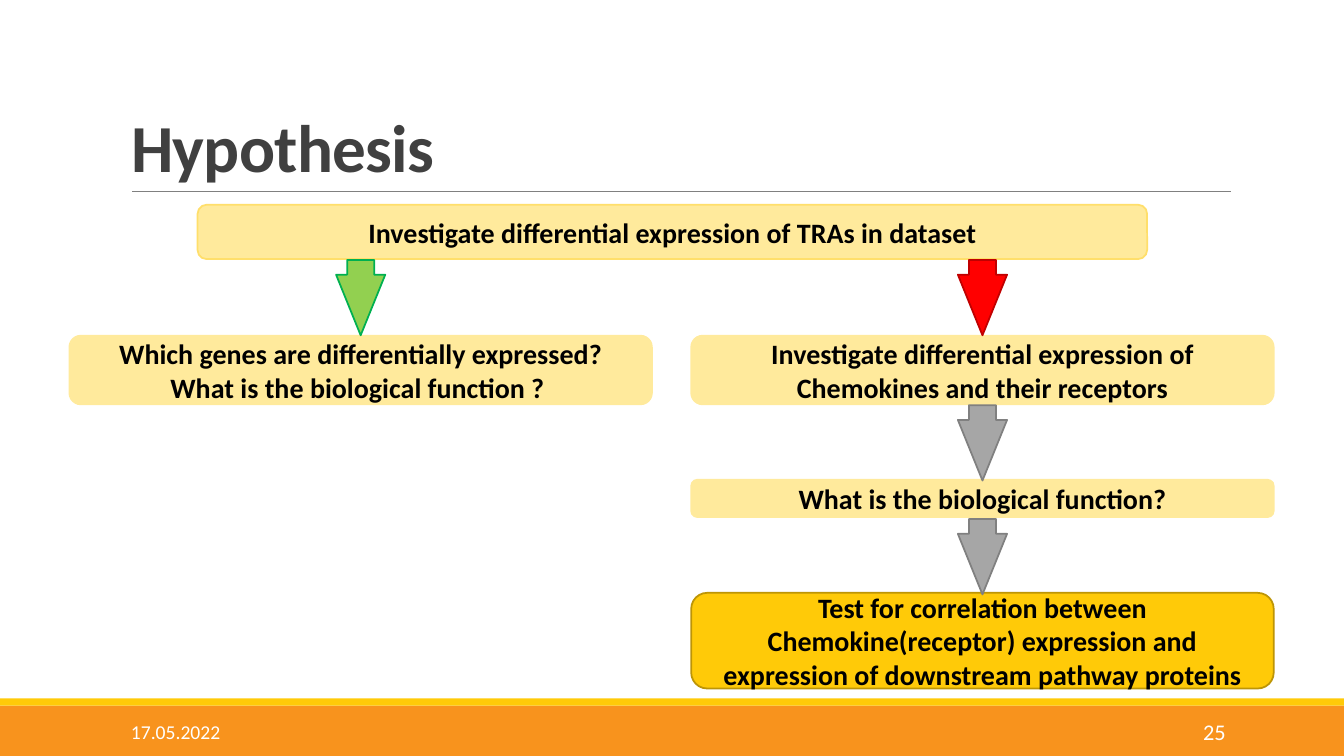
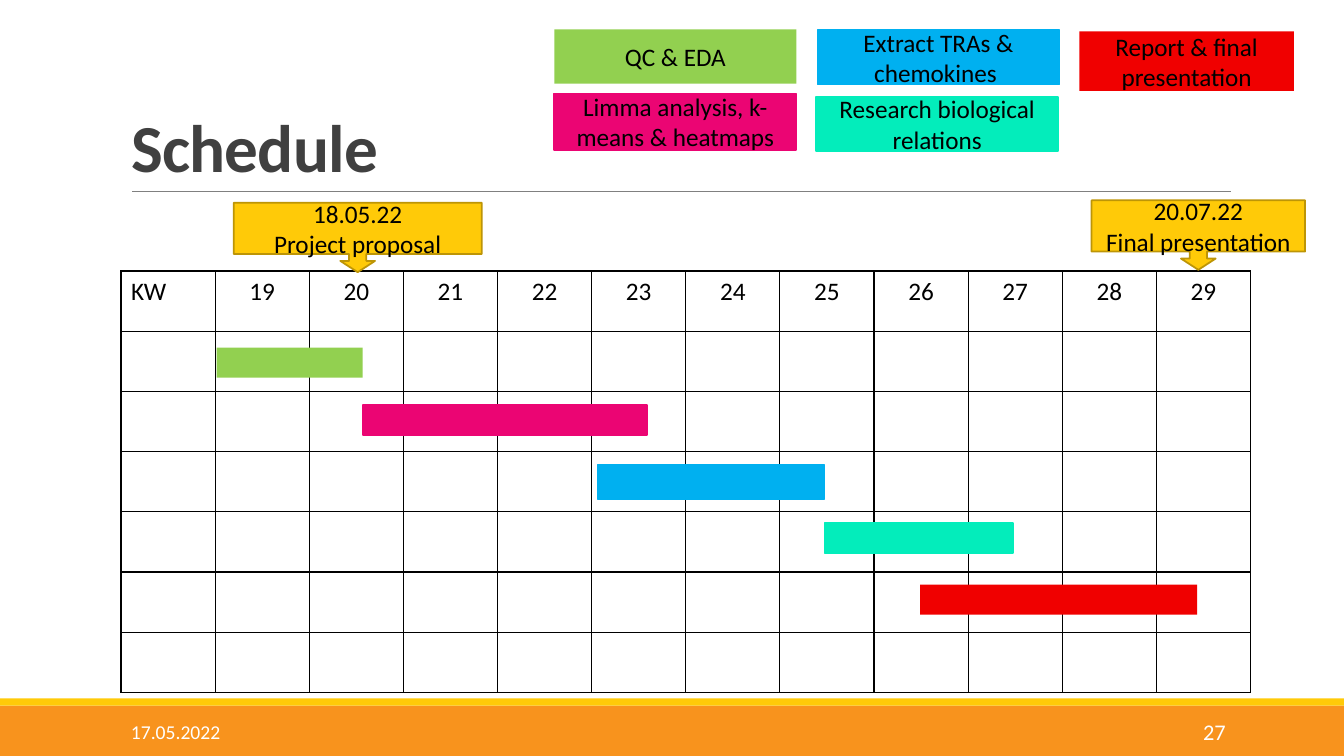
from lxml.etree import SubElement
from pptx import Presentation
from pptx.dml.color import RGBColor
from pptx.enum.shapes import MSO_CONNECTOR, MSO_SHAPE as Shape
from pptx.enum.text import MSO_ANCHOR as Anchor, MSO_AUTO_SIZE, PP_ALIGN as Align
from pptx.oxml.ns import qn
from pptx.util import Cm, Pt

BLACK = RGBColor(0x00, 0x00, 0x00)
WHITE = RGBColor(0xFF, 0xFF, 0xFF)
TITLE_GRAY = RGBColor(0x40, 0x40, 0x40)
GRAY = RGBColor(0x80, 0x80, 0x80)
LIGHT_GRAY = RGBColor(0xA6, 0xA6, 0xA6)
ORANGE = RGBColor(0xF8, 0x93, 0x1D)
GOLD = RGBColor(0xFF, 0xCA, 0x08)
DARK_GOLD = RGBColor(0xBD, 0x95, 0x06)
CREAM = RGBColor(0xFF, 0xEA, 0x9C)
CREAM_EDGE = RGBColor(0xFF, 0xDF, 0x6B)
LIME = RGBColor(0x92, 0xD0, 0x50)
GREEN = RGBColor(0x00, 0xB0, 0x50)
RED = RGBColor(0xFF, 0x00, 0x00)
DARK_RED = RGBColor(0xC0, 0x00, 0x00)
BLUE = RGBColor(0x00, 0xB0, 0xF0)
PINK = RGBColor(0xEB, 0x05, 0x73)
MINT = RGBColor(0x03, 0xED, 0xBB)
SCARLET = RGBColor(0xF0, 0x00, 0x00)

DATE = "17.05.2022"


def cms(*lengths):
    return [Cm(length) for length in lengths]


def write(tf, text, size=18, color=BLACK, bold=False, align=Align.CENTER,
          anchor=Anchor.MIDDLE, line_spacing=None, tracking=None):
    tf.word_wrap = True
    tf.auto_size = MSO_AUTO_SIZE.NONE
    tf.vertical_anchor = anchor
    for i, line in enumerate(text.split("\n")):
        p = tf.add_paragraph() if i else tf.paragraphs[0]
        p.alignment = align
        p.line_spacing = line_spacing
        r = p.add_run()
        r.text = line
        r.font.name = "Calibri"
        r.font.size = Pt(size)
        r.font.bold = bold
        r.font.color.rgb = color
        if tracking is not None:
            r.font._element.set("spc", str(int(tracking * 100)))


def border(cell, color, width):
    tcPr = cell._tc.get_or_add_tcPr()
    for i, side in enumerate(("lnL", "lnR", "lnT", "lnB")):
        ln = SubElement(tcPr, qn("a:" + side), w=str(Pt(width)))
        fill = SubElement(ln, qn("a:solidFill"))
        SubElement(fill, qn("a:srgbClr"), val=str(color))
        tcPr.remove(ln)
        tcPr.insert(i, ln)


class Deck:
    def __init__(self):
        self.prs = Presentation()
        self.prs.slide_width, self.prs.slide_height = cms(33.87, 19.05)

    def new_slide(self, title, number):
        self.s = self.prs.slides.add_slide(self.prs.slide_layouts[5])
        self.shape(Shape.RECTANGLE, (0, 17.78, 33.87, 1.27), ORANGE)
        self.shape(Shape.RECTANGLE, (0, 17.6, 33.87, 0.18), GOLD)
        self.rule((3.33, 4.83, 31.01, 4.83))
        sp = self.s.shapes.title
        sp.left, sp.top, sp.width, sp.height = cms(3.05, 0.79, 27.94, 4.04)
        write(sp.text_frame, title, size=48, color=TITLE_GRAY, bold=True,
              align=Align.LEFT, anchor=Anchor.BOTTOM, line_spacing=0.85,
              tracking=-0.5)
        self.label(DATE, (3.05, 17.93, 6.86, 1.02), size=14, align=Align.LEFT)
        self.label(number, (27.51, 17.93, 3.63, 1.02), size=16, align=Align.RIGHT)

    def label(self, text, box, **style):
        sp = self.s.shapes.add_textbox(*cms(*box))
        write(sp.text_frame, text, color=WHITE, **style)

    def rule(self, ends):
        sp = self.s.shapes.add_connector(MSO_CONNECTOR.STRAIGHT, *cms(*ends))
        sp.line.color.rgb = GRAY
        sp.line.width = Pt(0.5)
        SubElement(sp._element.spPr, qn("a:effectLst"))

    def shape(self, kind, box, fill, line=None, text=None, adjust=(), **style):
        sp = self.s.shapes.add_shape(kind, *cms(*box))
        sp.shadow.inherit = False
        for i, value in enumerate(adjust):
            sp.adjustments[i] = value
        sp.fill.solid()
        sp.fill.fore_color.rgb = fill
        if line is None:
            sp.line.fill.background()
        else:
            sp.line.color.rgb = line
            sp.line.width = Pt(1.25)
        if text:
            write(sp.text_frame, text, **style)

    def step(self, text, box, fill=CREAM, line=CREAM):
        self.shape(Shape.ROUNDED_RECTANGLE, box, fill, line, text, size=20, bold=True)

    def arrow(self, center, top, fill, line):
        width = 1.24
        self.shape(Shape.DOWN_ARROW, (center - width / 2, top, width, 1.9),
                   fill, line, adjust=(0.549, 1.232))

    def milestone(self, text, box):
        self.shape(Shape.DOWN_ARROW_CALLOUT, box, GOLD, DARK_GOLD, text,
                   adjust=(0.25, 0.25, 0.162, 0.738))

    def grid(self, box, header, rows):
        table = self.s.shapes.add_table(rows, len(header), *cms(*box)).table
        table.first_row = table.horz_banding = False
        for cell in table.iter_cells():
            cell.fill.background()
            border(cell, BLACK, 1)
        for i, text in enumerate(header):
            write(table.cell(0, i).text_frame, text, anchor=Anchor.TOP,
                  align=Align.CENTER if i else Align.LEFT)


def hypothesis(deck):
    deck.new_slide("Hypothesis", "25")
    left, right, width = 1.75, 17.42, 14.68
    left_mid, right_mid = left + width / 2, right + width / 2
    deck.step("Investigate differential expression of TRAs in dataset",
              (4.98, 5.16, 23.93, 1.37), line=CREAM_EDGE)
    deck.step("Which genes are differentially expressed?\n"
              "What is the biological function ? ", (left, 8.46, width, 1.73))
    deck.step("Investigate differential expression of Chemokines and their receptors",
              (right, 8.46, width, 1.73))
    deck.step("What is the biological function?", (right, 12.09, width, 0.94))
    deck.step("Test for correlation between Chemokine(receptor) expression and "
              "expression of downstream pathway proteins",
              (right, 14.94, width, 2.41), GOLD, DARK_GOLD)
    deck.arrow(left_mid, 6.55, LIME, GREEN)
    deck.arrow(right_mid, 6.55, RED, DARK_RED)
    for top in (10.21, 13.08):
        deck.arrow(right_mid, top, LIGHT_GRAY, GRAY)


def schedule(deck):
    deck.new_slide("Schedule", "27")
    weeks = [str(week) for week in range(19, 30)]
    deck.grid((3.05, 6.83, 28.47, 10.62), ["KW"] + weeks, 7)
    deck.milestone("20.07.22\nFinal presentation", (27.51, 5.05, 5.38, 1.75))
    deck.milestone("18.05.22\nProject proposal", (5.89, 5.11, 6.25, 1.75))
    tasks = [
        ("QC & EDA", LIME, None,
         (13.97, 0.74, 6.1, 1.37), (5.46, 8.76, 3.68, 0.76)),
        ("Extract TRAs & chemokines ", BLUE, BLUE,
         (20.6, 0.76, 6.1, 1.37), (15.06, 11.71, 5.72, 0.86)),
        ("Limma analysis, k-means & heatmaps", PINK, PINK,
         (13.97, 2.36, 6.1, 1.42), (9.14, 10.21, 7.16, 0.76)),
        ("Research biological relations", MINT, MINT,
         (20.57, 2.44, 6.1, 1.37), (20.78, 13.18, 4.75, 0.76)),
        ("Report & final presentation", SCARLET, None,
         (27.2, 0.79, 5.41, 1.5), (23.19, 14.73, 6.98, 0.76)),
    ]
    for name, fill, line, legend, bar in tasks:
        deck.shape(Shape.RECTANGLE, legend, fill, line, name)
        deck.shape(Shape.RECTANGLE, bar, fill, line)


def main():
    deck = Deck()
    hypothesis(deck)
    schedule(deck)
    deck.prs.save("out.pptx")


if __name__ == "__main__":
    main()
